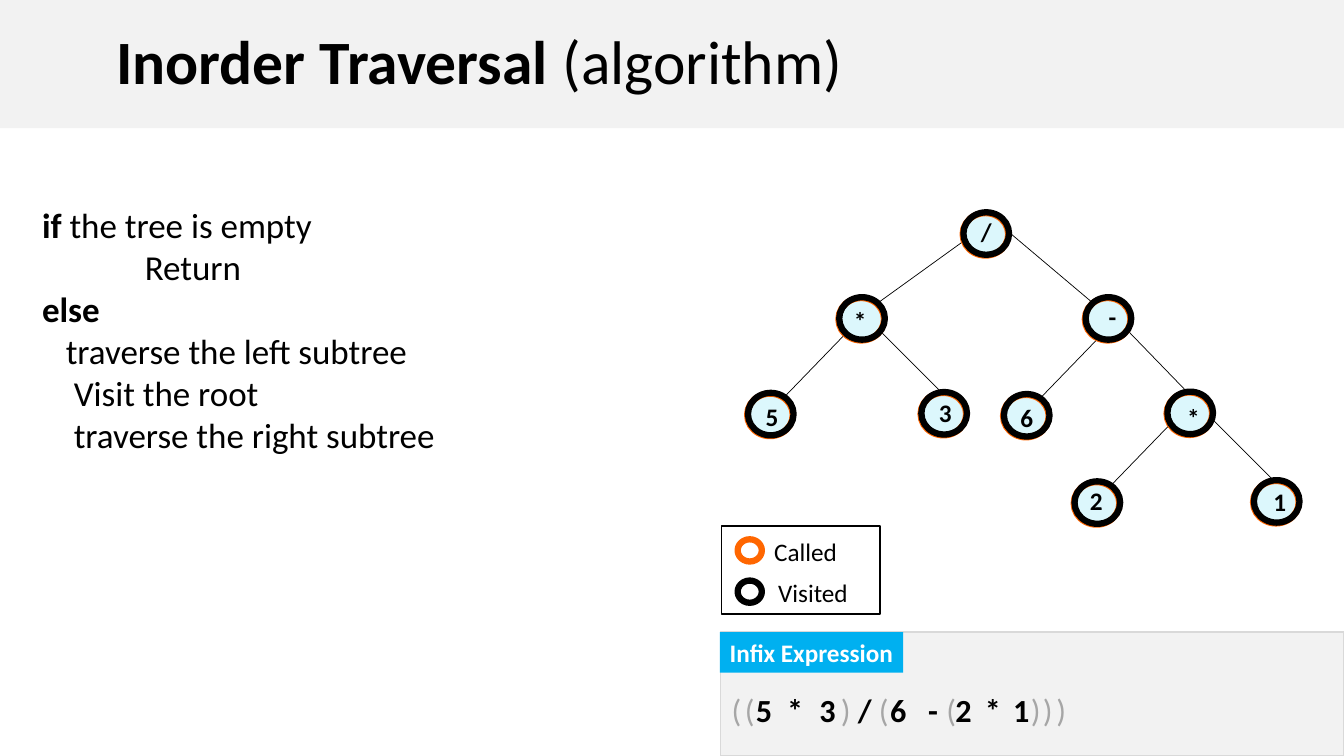
from dataclasses import dataclass

from lxml.etree import SubElement
from pptx import Presentation
from pptx.dml.color import RGBColor
from pptx.enum.shapes import MSO_CONNECTOR, MSO_SHAPE as Shape
from pptx.enum.text import MSO_ANCHOR as Anchor, PP_ALIGN as Align
from pptx.oxml.ns import qn
from pptx.util import Cm, Pt


@dataclass(frozen=True)
class Theme:
    font: str = "Calibri"
    ink: str = "000000"
    white: str = "FFFFFF"
    panel: str = "F2F2F2"
    panel_edge: str = "D9D9D9"
    node: str = "DCF7FC"
    called: str = "FF6600"
    tag: str = "00B0F0"
    bracket: str = "A6A6A6"
    title_size: int = 44
    body_size: int = 25
    token_size: int = 23
    label_size: int = 18
    ring_width: float = 4.5


T = Theme()
NODE_W, NODE_H = 1.15, 1.07

# label, ring left and top, label shift right and down (cm)
NODES = [
    ("/", 24.28, 5.35, 0, -0.03),
    ("*", 21.15, 7.49, -0.05, 0.08),
    ("-", 27.36, 7.49, 0.1, -0.03),
    ("5", 18.85, 9.9, 0.03, 0.08),
    ("3", 23.22, 9.88, 0.03, 0),
    ("6", 25.3, 9.93, 0, 0.08),
    ("*", 29.42, 9.87, 0.08, 0.13),
    ("2", 27.08, 12.13, -0.03, -0.03),
    ("1", 31.6, 12.1, 0.08, 0.03),
]
# from x, y to x, y (cm)
EDGES = [
    (24.43, 5.97, 22.1, 7.65),
    (25.45, 5.87, 27.56, 7.65),
    (21.26, 8.46, 19.76, 10.01),
    (22.17, 8.33, 23.72, 9.88),
    (27.69, 8.51, 26.19, 10.06),
    (28.37, 8.28, 29.9, 9.86),
    (29.49, 10.69, 27.99, 12.24),
    (30.56, 10.57, 32.11, 12.12),
]
# indent (cm), then runs of text and boldness
ALGORITHM = [
    (0, [("if ", True), ("the tree is empty", False)]),
    (2.59, [("Return", False)]),
    (0, [("else", True)]),
    (0.6, [("traverse the left subtree", False)]),
    (0.8, [("Visit the root", False)]),
    (0.8, [("traverse the right subtree", False)]),
]
# symbol and its left edge (cm)
EXPRESSION = [
    ("(", 18.44), ("(", 18.77), ("5", 19.05), ("*", 19.84), ("3", 20.65),
    (")", 21.19), ("/", 21.62), ("(", 22.15), ("6", 22.43), ("-", 23.39),
    ("(", 23.85), ("2", 24.08), ("*", 24.82), ("1", 25.53),
    (")", 25.98), (")", 26.28), (")", 26.62),
]
# caption, ring colour, ring top, caption left and top (cm)
LEGEND = [
    ("Called", T.called, 13.59, 19.51, 13.51),
    ("Visited", T.ink, 14.63, 19.61, 14.55),
]


def rgb(value):
    return RGBColor.from_string(value)


def add_box(s, kind, x, y, w, h, fill=None, line=None, width=1):
    sp = s.shapes.add_shape(kind, Cm(x), Cm(y), Cm(w), Cm(h))
    sp.shadow.inherit = False
    if fill:
        sp.fill.solid()
        sp.fill.fore_color.rgb = rgb(fill)
    else:
        sp.fill.background()
    if line:
        sp.line.color.rgb = rgb(line)
        sp.line.width = Pt(width)
    else:
        sp.line.fill.background()
    return sp


def prepare_frame(sp, inset=0, anchor=Anchor.TOP):
    tf = sp.text_frame
    tf.word_wrap = True
    tf.vertical_anchor = anchor
    tf.margin_left = Cm(inset)
    tf.margin_right = tf.margin_top = tf.margin_bottom = 0
    return tf


def add_runs(p, runs, size, color=T.ink, align=Align.LEFT):
    p.alignment = align
    for text, bold in runs:
        r = p.add_run()
        r.text = text
        r.font.name = T.font
        r.font.size = Pt(size)
        r.font.bold = bold
        r.font.color.rgb = rgb(color)


def add_text(s, text, x, y, w, h, size, color=T.ink, bold=False, align=Align.LEFT):
    tf = prepare_frame(s.shapes.add_textbox(Cm(x), Cm(y), Cm(w), Cm(h)))
    add_runs(tf.paragraphs[0], [(text, bold)], size, color, align)


def add_edge(s, x1, y1, x2, y2):
    line = s.shapes.add_connector(MSO_CONNECTOR.STRAIGHT, Cm(x1), Cm(y1), Cm(x2), Cm(y2))
    line.line.color.rgb = rgb(T.ink)
    line.line.width = Pt(0.5)
    SubElement(line._element.spPr, qn("a:effectLst"))


def add_node(s, label, x, y, dx, dy):
    """Draw the disc, its label, and the called ring just behind the visited ring."""
    add_box(s, Shape.OVAL, x, y, NODE_W, NODE_H, T.node, T.ink, 1.5)
    add_text(s, label, x + dx, y + dy + 0.13, NODE_W, 0.76, T.label_size,
             bold=True, align=Align.CENTER)
    for color, shift in ((T.called, 0.02), (T.ink, 0)):
        add_box(s, Shape.OVAL, x - shift, y + shift, NODE_W, NODE_H,
                line=color, width=T.ring_width)


def add_title(s):
    band = add_box(s, Shape.RECTANGLE, 0, 0, 33.87, 3.23, T.panel)
    p = prepare_frame(band, 2.93, Anchor.MIDDLE).paragraphs[0]
    p.line_spacing = 0.9
    add_runs(p, [("Inorder Traversal ", True), ("(algorithm)", False)], T.title_size)


def add_algorithm(s):
    tf = prepare_frame(s.shapes.add_textbox(Cm(1.06), Cm(5.13), Cm(14.2), Cm(7.4)))
    for i, (indent, runs) in enumerate(ALGORITHM):
        p = tf.add_paragraph() if i else tf.paragraphs[0]
        p._p.get_or_add_pPr().set("marL", str(Cm(indent)))
        add_runs(p, runs, T.body_size)


def add_legend(s):
    add_box(s, Shape.RECTANGLE, 18.19, 13.26, 3.99, 2.21, T.white, T.ink)
    for caption, color, ring_y, x, y in LEGEND:
        add_box(s, Shape.OVAL, 18.59, ring_y, 0.61, 0.56, line=color, width=T.ring_width)
        add_text(s, caption, x, y, 2.3, 0.76, T.label_size)


def add_expression(s):
    add_box(s, Shape.RECTANGLE, 18.16, 15.93, 15.71, 3.12, T.panel, T.panel_edge)
    tag = add_box(s, Shape.RECTANGLE, 18.14, 15.93, 4.62, 1.02, T.tag)
    tf = prepare_frame(tag, 0.25, Anchor.MIDDLE)
    add_runs(tf.paragraphs[0], [("Infix Expression", True)], T.label_size, T.white)
    for symbol, x in EXPRESSION:
        is_bracket = symbol in "()"
        add_text(s, symbol, x, 17.4, 0.6, 1, T.token_size,
                 T.bracket if is_bracket else T.ink, not is_bracket)


def main():
    prs = Presentation()
    prs.slide_width, prs.slide_height = Cm(33.87), Cm(19.05)
    s = prs.slides.add_slide(prs.slide_layouts[6])
    add_title(s)
    add_algorithm(s)
    for edge in EDGES:
        add_edge(s, *edge)
    for node in NODES:
        add_node(s, *node)
    add_legend(s)
    add_expression(s)
    prs.save("out.pptx")


if __name__ == "__main__":
    main()
